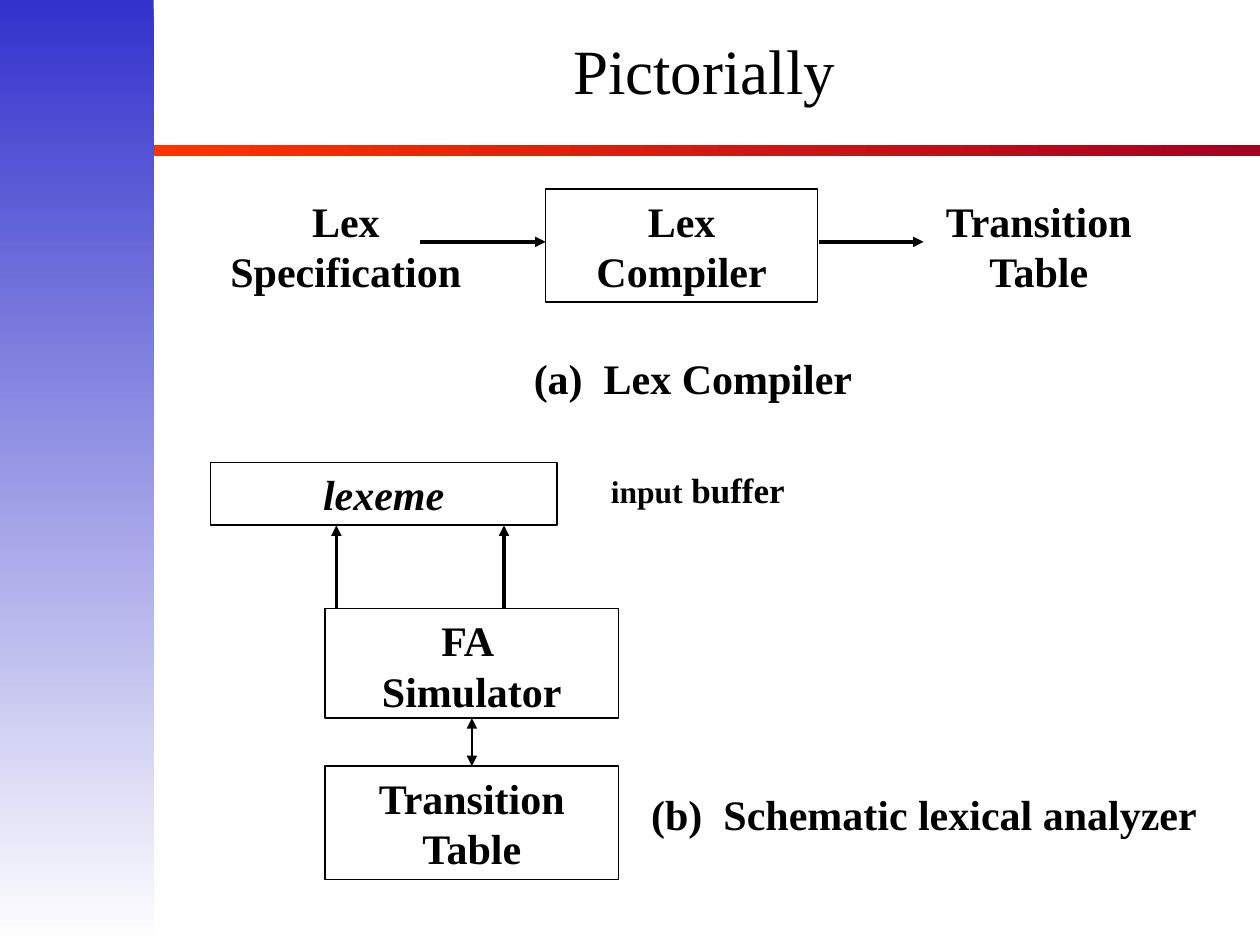
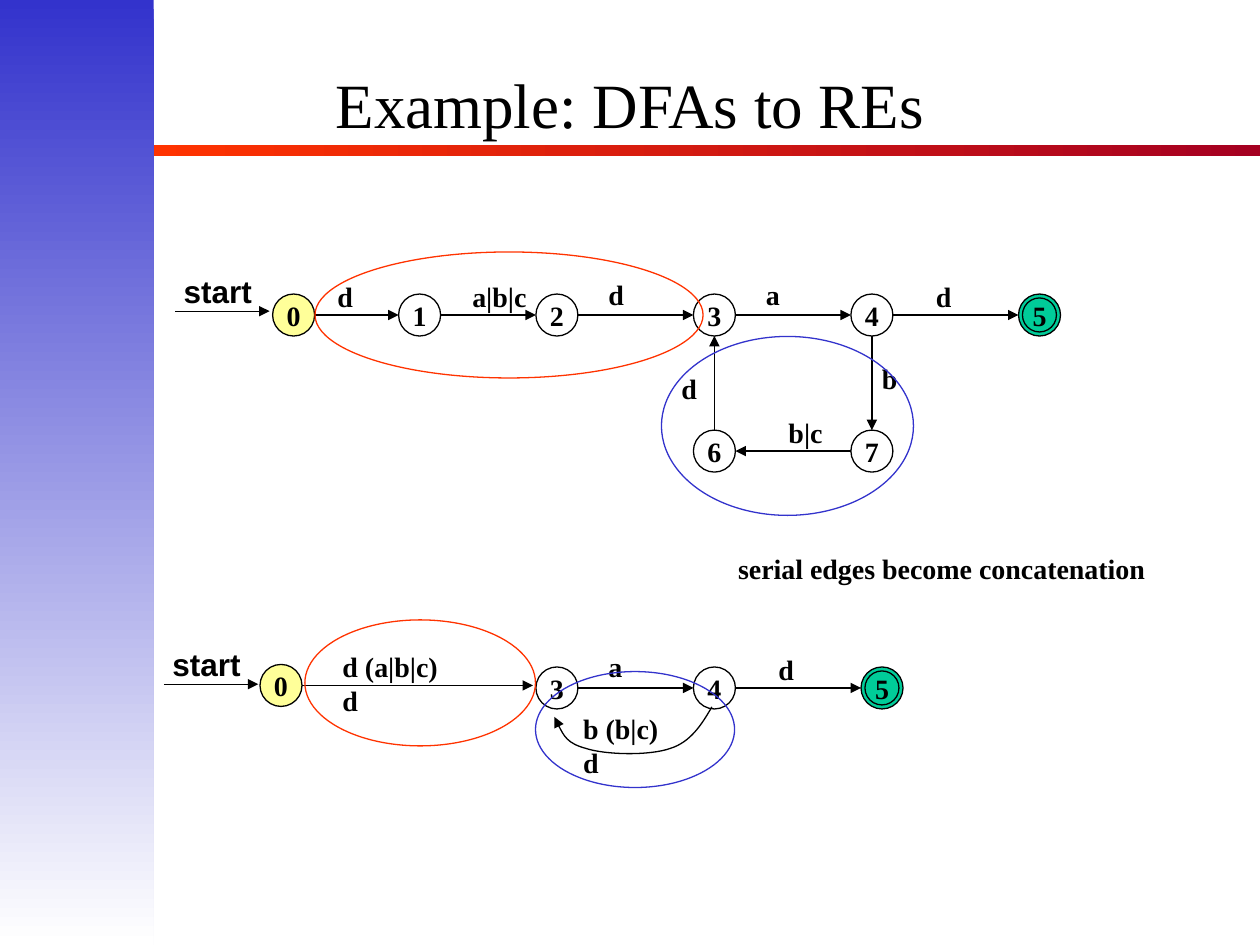
"""Build two slides on lexical analysis: a Lex schematic and a DFA example."""
from dataclasses import dataclass
from math import hypot

from lxml import etree
from pptx import Presentation
from pptx.dml.color import RGBColor
from pptx.enum.shapes import MSO_CONNECTOR, MSO_SHAPE
from pptx.enum.text import MSO_ANCHOR, PP_ALIGN
from pptx.oxml.ns import qn
from pptx.util import Inches, Pt

RECT, OVAL = MSO_SHAPE.RECTANGLE, MSO_SHAPE.OVAL
LINE = MSO_CONNECTOR.STRAIGHT
TOP, MIDDLE = MSO_ANCHOR.TOP, MSO_ANCHOR.MIDDLE
LEFT, CENTER = PP_ALIGN.LEFT, PP_ALIGN.CENTER


@dataclass(frozen=True)
class Theme:
    """Colours, fonts and sizes of the deck."""
    black: str = "000000"
    white: str = "FFFFFF"
    blue: str = "3333CC"
    red: str = "FF3300"
    wine: str = "A50021"
    yellow: str = "FFFF99"
    green: str = "00CC99"
    serif: str = "Times New Roman"
    sans: str = "Arial"
    title: int = 36
    body: int = 24
    buffer: int = 20
    start: int = 18
    small: int = 16
    thin: float = 0.75
    radius: float = 1 / 6
    ring: float = 0.27


class Deck:
    """Hold the theme and the current slide, and draw elements on it."""

    def __init__(self, theme):
        """Open an empty 10 by 7.5 inch deck."""
        self.theme = theme
        self.prs = Presentation()
        self.prs.slide_width, self.prs.slide_height = Inches(10), Inches(7.5)

    def slide(self, title, *place):
        """Start a slide with its bands and title."""
        theme = self.theme
        self.shapes = self.prs.slides.add_slide(self.prs.slide_layouts[6]).shapes
        self.band((1.2, 1.15, 8.8, 0.09), theme.red, theme.wine, 0)
        self.band((0, 0, 1.22, 7.5), theme.blue, theme.white, 270)
        para = self.text(title, *place, size=theme.title, bold=False,
                         align=CENTER, anchor=MIDDLE)
        para.line_spacing = 0.8

    def band(self, place, first, last, angle):
        """Draw a gradient band."""
        shape = self.shapes.add_shape(RECT, *map(Inches, place))
        shape.shadow.inherit = False
        shape.line.fill.background()
        shape.fill.gradient()
        shape.fill.gradient_angle = angle
        for stop, color in zip(shape.fill.gradient_stops, (first, last)):
            stop.color.rgb = RGBColor.from_string(color)

    def letter(self, frame, text, size, align, anchor, wrap=True, bold=True, face=None):
        """Fill a text frame and return its last paragraph."""
        frame.word_wrap = wrap
        frame.vertical_anchor = anchor
        frame.text = text
        for para in frame.paragraphs:
            para.alignment = align
            font = para.font
            font.name, font.size, font.bold = face or self.theme.serif, Pt(size), bold
            font.color.rgb = RGBColor.from_string(self.theme.black)
        return para

    def text(self, text, *place, size, align=LEFT, anchor=TOP, wrap=True, **style):
        """Add a text box and return its last paragraph."""
        box = self.shapes.add_textbox(*map(Inches, place))
        return self.letter(box.text_frame, text, size, align, anchor, wrap, **style)

    def label(self, text, x, y, width):
        """Add a small label that does not wrap."""
        self.text(text, x, y, width, 0.37, size=self.theme.small, wrap=False)

    def shape(self, kind, *place, line=None, width=None, fill=None):
        """Add an outlined shape."""
        shape = self.shapes.add_shape(kind, *map(Inches, place))
        shape.shadow.inherit = False
        if fill:
            shape.fill.solid()
            shape.fill.fore_color.rgb = RGBColor.from_string(fill)
        else:
            shape.fill.background()
        self.stroke(shape, width or self.theme.thin, line)
        return shape

    def box(self, text, *place):
        """Add an outlined box with centred text."""
        shape = self.shape(RECT, *place, width=1)
        self.letter(shape.text_frame, text, self.theme.body, CENTER, TOP)
        return shape

    def node(self, text, x, y, fill=None, final=False):
        """Add a state centred on a point, with a ring if it is final."""
        rad, ring = self.theme.radius, self.theme.ring
        shape = self.shape(OVAL, x - rad, y - rad, 2 * rad, 2 * rad, fill=fill)
        self.letter(shape.text_frame, text, self.theme.small, CENTER, MIDDLE, False)
        if final:
            self.shape(OVAL, x - ring / 2, y - ring / 2, ring, ring)

    def stroke(self, shape, width, color=None, ends=()):
        """Style a line and add its arrowheads."""
        shape.line.width = Pt(width)
        shape.line.color.rgb = RGBColor.from_string(color or self.theme.black)
        pen = shape._element.spPr.find(qn("a:ln"))
        for end in ends:
            etree.SubElement(pen, qn(f"a:{end}"), type="triangle")

    def arrow(self, x1, y1, x2, y2, width=None, ends=("tailEnd",)):
        """Add a straight arrow."""
        arrow = self.shapes.add_connector(LINE, *map(Inches, (x1, y1, x2, y2)))
        self.stroke(arrow, width or self.theme.thin, ends=ends)
        etree.SubElement(arrow._element.spPr, qn("a:effectLst"))
        return arrow

    def edge(self, start, end):
        """Add an arrow between the rims of two states."""
        (x1, y1), (x2, y2) = start, end
        part = self.theme.radius / hypot(x2 - x1, y2 - y1)
        dx, dy = (x2 - x1) * part, (y2 - y1) * part
        self.arrow(x1 + dx, y1 + dy, x2 - dx, y2 - dy)

    def curve(self, start, points):
        """Add a curved arrow, three control points to a piece."""
        form = self.shapes.build_freeform(*map(Inches, start))
        form.add_line_segments([tuple(map(Inches, point)) for point in points], close=False)
        shape = form.convert_to_shape()
        shape.shadow.inherit = False
        shape.fill.background()
        self.stroke(shape, self.theme.thin, ends=("tailEnd",))
        steps = shape._element.findall(".//" + qn("a:lnTo"))
        for first in range(0, len(steps), 3):
            piece = etree.Element(qn("a:cubicBezTo"))
            steps[first].addprevious(piece)
            for step in steps[first:first + 3]:
                piece.append(step[0])
                step.getparent().remove(step)

    def start(self, x, y):
        """Add the arrow and word that mark the start state."""
        self.arrow(x, y, x + 0.75, y)
        self.text("start", x - 0.03, y - 0.36, 0.74, 0.4, size=self.theme.start,
                  wrap=False, face=self.theme.sans)


def schematic(deck):
    """Draw the Lex compiler and the lexical analyzer."""
    theme = deck.theme
    deck.slide("Pictorially", 1.18, 0, 8.82, 1.22)
    for text, *place in (("Lex Specification", 1.58, 1.5, 2.33, 0.9),
                         ("Transition Table", 7.08, 1.5, 2.33, 0.9),
                         ("(a)  Lex Compiler", 4, 2.75, 3, 0.5)):
        deck.text(text, *place, size=theme.body, align=CENTER)
    deck.box("Lex Compiler", 4.33, 1.5, 2.16, 0.9)
    for x1, x2 in ((3.33, 4.33), (6.5, 7.33)):
        deck.arrow(x1, 1.92, x2, 1.92, 2)

    fa = deck.box("FA \nSimulator", 2.58, 4.83, 2.33, 0.87)
    last = fa.text_frame.paragraphs[-1]
    last.line_spacing, last.space_before = 0.4, Pt(15)
    table = deck.box("Transition Table", 2.58, 6.08, 2.33, 0.9)
    link = deck.arrow(3.75, 5.7, 3.75, 6.08, 1.5, ("headEnd", "tailEnd"))
    link.begin_connect(fa, 2)
    link.end_connect(table, 0)
    lexeme = deck.box("lexeme", 1.67, 3.67, 2.75, 0.5)
    lexeme.text_frame.paragraphs[0].font.italic = True
    for x in (2.67, 4):
        deck.arrow(x, 4.83, x, 4.17, 2)

    para = deck.text("input", 4.75, 3.67, 2.33, 0.44, size=theme.start)
    run = para.add_run()
    run.text, run.font.size = " buffer", Pt(theme.buffer)
    deck.text("(b)  Schematic lexical analyzer", 5.07, 6.21, 4.53, 0.5,
              size=theme.body, wrap=False)


def example(deck):
    """Draw a DFA before and after its serial edges are merged."""
    theme = deck.theme
    deck.slide("Example: DFAs to REs", 0.75, 0.25, 8.5, 1.25)
    fills = {"0": theme.yellow, "5": theme.green}
    full = dict(zip("012345", ((x, 2.5) for x in (2.33, 3.33, 4.42, 5.67, 6.92, 8.25))))
    full |= {"6": (5.67, 3.58), "7": (6.92, 3.58)}
    short = {"0": (2.23, 5.44), "3": (4.42, 5.46), "4": (5.67, 5.46), "5": (7, 5.46)}
    for states, edges in ((full, "01 12 23 34 45 47 76 63"), (short, "34 45")):
        for name, spot in states.items():
            deck.node(name, *spot, fill=fills.get(name), final=name == "5")
        for first, last in edges.split():
            deck.edge(states[first], states[last])
    deck.arrow(2.4, 5.44, 4.23, 5.44)
    deck.curve((5.65, 5.61), [(5.57, 5.75), (5.48, 5.89), (5.32, 5.94),
                              (5.15, 6), (4.8, 5.99), (4.65, 5.94),
                              (4.5, 5.9), (4.45, 5.8), (4.4, 5.69)])

    for text, *place in (
            ("d", 2.58, 2.17, 0.32), ("a|b|c", 3.65, 2.17, 0.63),
            ("d", 4.73, 2.15, 0.32), ("a", 5.98, 2.15, 0.31),
            ("d", 7.33, 2.17, 0.32), ("d", 5.31, 2.9, 0.32),
            ("b", 6.9, 2.82, 0.32), ("b|c", 6.16, 3.25, 0.47),
            ("serial edges become concatenation", 5.76, 4.33, 3.43),
            ("d (a|b|c) d", 2.62, 5.11, 1.13), ("a", 4.73, 5.11, 0.31),
            ("d", 6.08, 5.13, 0.32), ("b (b|c) d", 4.53, 5.6, 0.97)):
        deck.label(text, *place)
    for color, *place in ((theme.red, 2.5, 2, 3.08, 1), (theme.blue, 5.25, 2.67, 2, 1.42),
                          (theme.red, 2.42, 4.92, 1.83, 1),
                          (theme.blue, 4.25, 5.33, 1.58, 0.92)):
        deck.shape(OVAL, *place, line=color)
    deck.start(1.39, 2.47)
    deck.start(1.3, 5.43)


def main():
    """Build and save the deck."""
    deck = Deck(Theme())
    schematic(deck)
    example(deck)
    deck.prs.save("out.pptx")


if __name__ == "__main__":
    main()
